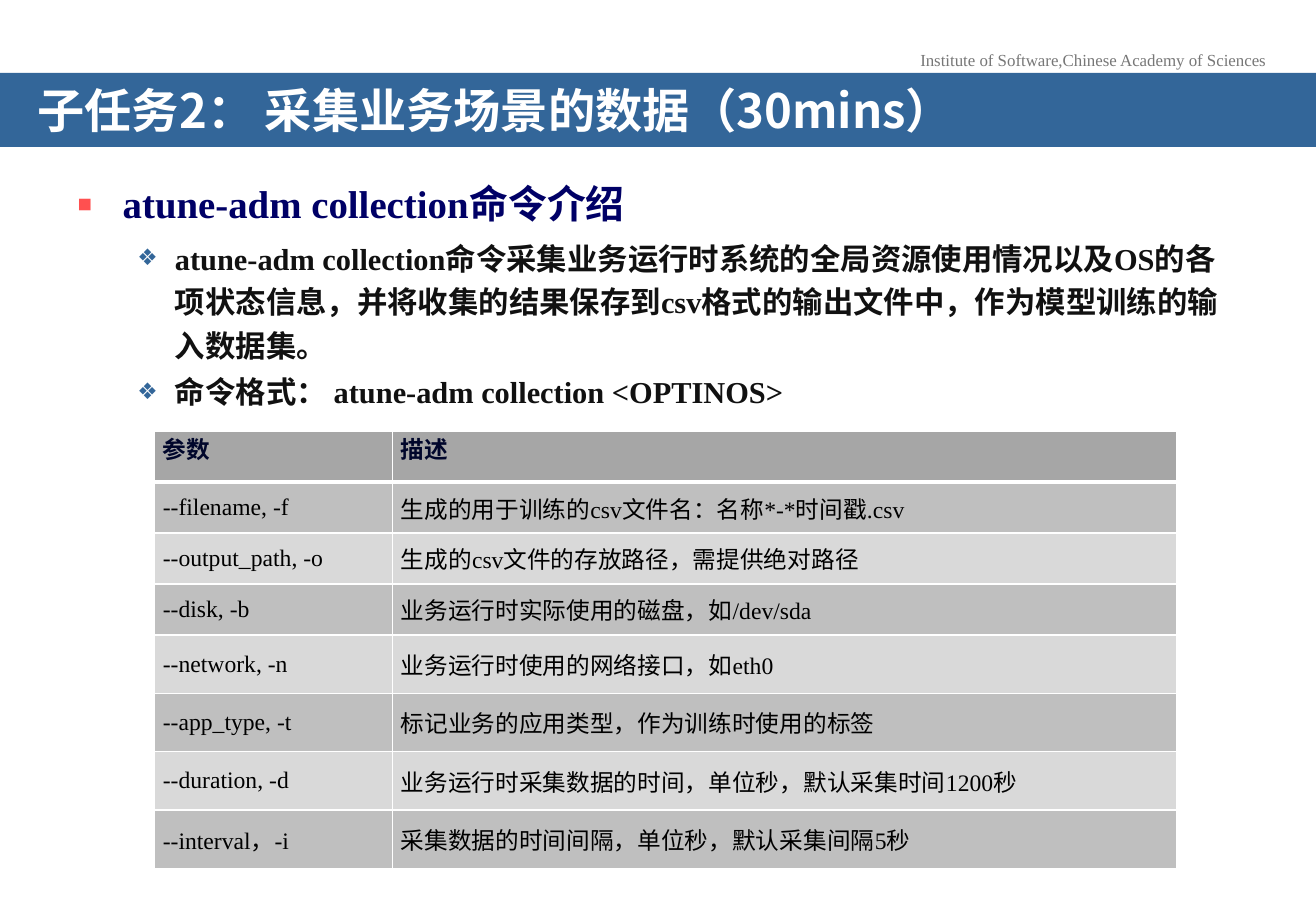
from collections import namedtuple
from dataclasses import dataclass

from lxml.etree import SubElement as Sub
from pptx import Presentation
from pptx.dml.color import RGBColor as Rgb
from pptx.enum.text import MSO_ANCHOR as Anchor, MSO_AUTO_SIZE as Fit, PP_ALIGN as Align
from pptx.oxml.ns import qn
from pptx.util import Emu, Pt

Box = namedtuple("Box", "x y w h")
Font = namedtuple("Font", "size color bold face")
Level = namedtuple("Level", "depth mark tint scale left hang font")

SERIF = "Times New Roman"
SANS = "Noto Sans CJK SC"


@dataclass(frozen=True)
class Theme:
    band: str = "336699"
    line: str = "FFFFFF"
    head: str = "A6A6A6"
    rows: tuple = ("BFBFBF", "D9D9D9")
    note: Font = Font(10, "777777", False, SERIF)
    title: Font = Font(28, "FFFFFF", True, SANS)
    label: Font = Font(14, "00062B", True, SERIF)
    cell: Font = Font(14, "000000", False, SERIF)
    main: Level = Level(0, "▪", "FF5050", 120, 38, 38, Font(23, "000066", True, SERIF))
    sub: Level = Level(1, "❖", "336699", 75, 81, 31, Font(18, "111111", True, SERIF))


THEME = Theme()

POINTS = [
    (THEME.main, 0.9, "atune-adm collection命令介绍"),
    (THEME.sub, 1.2, "atune-adm collection命令采集业务运行时系统的全局资源使用情况以及OS的各项状态信息，"
                     "并将收集的结果保存到csv格式的输出文件中，作为模型训练的输入数据集。"),
    (THEME.sub, 1.1, "命令格式： atune-adm collection <OPTINOS>"),
]

OPTIONS = [
    ("参数", "描述"),
    ("--filename, -f", "生成的用于训练的csv文件名：名称*-*时间戳.csv"),
    ("--output_path, -o", "生成的csv文件的存放路径，需提供绝对路径"),
    ("--disk, -b", "业务运行时实际使用的磁盘，如/dev/sda"),
    ("--network, -n", "业务运行时使用的网络接口，如eth0"),
    ("--app_type, -t", "标记业务的应用类型，作为训练时使用的标签"),
    ("--duration, -d", "业务运行时采集数据的时间，单位秒，默认采集时间1200秒"),
    ("--interval，-i", "采集数据的时间间隔，单位秒，默认采集间隔5秒"),
]


def px(n):
    return Emu(n * 9144)


def place(shape, box):
    shape.left, shape.top, shape.width, shape.height = map(px, box)


def inset(item, left, top, right, bottom):
    item.margin_left, item.margin_top = px(left), px(top)
    item.margin_right, item.margin_bottom = px(right), px(bottom)


def write(para, text, font):
    run = para.add_run()
    run.text = text
    style = run.font
    style.size, style.bold, style.name = Pt(font.size), font.bold, font.face
    style.color.rgb = Rgb.from_string(font.color)
    Sub(run._r.get_or_add_rPr(), qn("a:ea"), typeface=SANS)


def bullet(para, level):
    props = para._p.get_or_add_pPr()
    props.set("marL", str(px(level.left)))
    props.set("indent", str(-px(level.hang)))
    tint = Sub(props, qn("a:buClr"))
    Sub(tint, qn("a:srgbClr"), val=level.tint)
    Sub(props, qn("a:buSzPct"), val=str(level.scale * 1000))
    Sub(props, qn("a:buChar"), char=level.mark)


def border(cell, tops):
    props = cell._tc.get_or_add_tcPr()
    for side, width in zip("LRTB", (1, 1, *tops)):
        line = Sub(props, qn(f"a:ln{side}"), w=str(Pt(width)))
        fill = Sub(line, qn("a:solidFill"))
        Sub(fill, qn("a:srgbClr"), val=THEME.line)


def add_note(slide, box):
    frame = slide.shapes.add_textbox(*map(px, box)).text_frame
    frame.word_wrap = False
    para = frame.paragraphs[0]
    para.alignment = Align.CENTER
    write(para, "Institute of Software,Chinese Academy of Sciences", THEME.note)


def add_title(slide, box):
    title = slide.shapes.title
    place(title, box)
    title.fill.solid()
    title.fill.fore_color.rgb = Rgb.from_string(THEME.band)
    frame = title.text_frame
    frame.auto_size, frame.vertical_anchor = Fit.NONE, Anchor.MIDDLE
    inset(frame, 31, 16, 31, 5)
    para = frame.paragraphs[0]
    para.alignment, para.line_spacing = Align.LEFT, 0.7
    write(para, "子任务2： 采集业务场景的数据（30mins）", THEME.title)


def add_body(slide, box):
    body = slide.placeholders[1]
    place(body, box)
    frame = body.text_frame
    frame.auto_size = Fit.NONE
    for i, (level, space, text) in enumerate(POINTS):
        para = frame.add_paragraph() if i else frame.paragraphs[0]
        para.level = level.depth
        bullet(para, level)
        para.line_spacing = space
        para.space_before = Pt(level.font.size * 0.2 if i else 0)
        write(para, text, level.font)


def add_grid(slide, box):
    grid = slide.shapes.add_table(len(OPTIONS), 2, *map(px, box)).table
    grid.horz_banding = False
    first = 196
    for col, width in zip(grid.columns, (first, box.w - first)):
        col.width = px(width)
    for i, texts in enumerate(OPTIONS):
        grid.rows[i].height = px(42 if i < 4 else 48)
        tops = (3 if i == 1 else 1, 1 if i else 3)
        shade = THEME.rows[(i - 1) % 2] if i else THEME.head
        for j, text in enumerate(texts):
            cell = grid.cell(i, j)
            inset(cell, 7, 0, 7, 0)
            cell.vertical_anchor = Anchor.MIDDLE if i else Anchor.TOP
            border(cell, tops)
            cell.fill.solid()
            cell.fill.fore_color.rgb = Rgb.from_string(shade)
            para = cell.text_frame.paragraphs[0]
            para.alignment = Align.LEFT
            write(para, text, THEME.cell if i else THEME.label)


def main():
    deck = Presentation()
    deck.slide_width, deck.slide_height = px(1083), px(750)
    slide = deck.slides.add_slide(deck.slide_layouts[1])
    add_note(slide, Box(746, 36, 307, 27))
    add_title(slide, Box(0, 60, 1083, 61))
    add_body(slide, Box(53, 147, 976, 535))
    add_grid(slide, Box(127, 355, 841, 360))
    deck.save("out.pptx")


if __name__ == "__main__":
    main()
